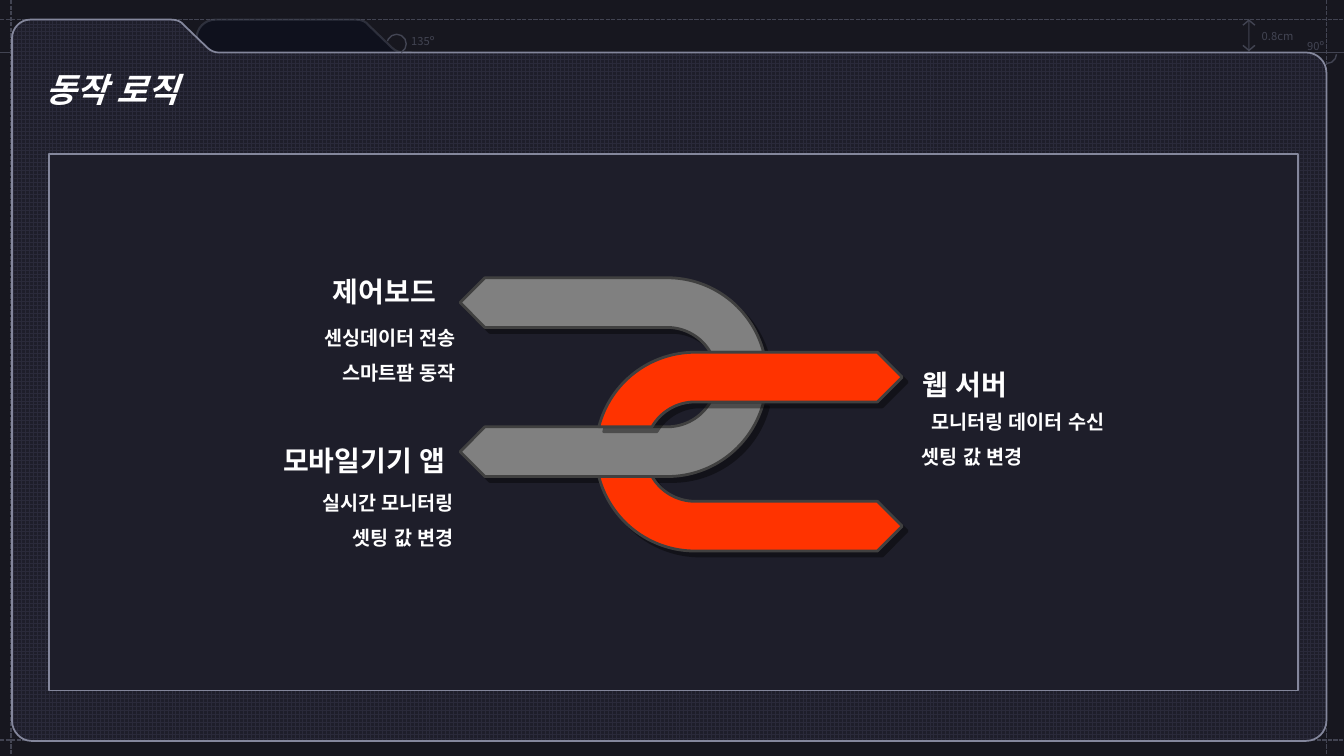
from math import asin, cos, pi, sin, tan

from lxml import etree
from pptx import Presentation
from pptx.dml.color import RGBColor
from pptx.enum import dml, shapes as kinds, text
from pptx.oxml.ns import qn
from pptx.util import Pt

FONT = "Noto Sans CJK KR"
NIGHT = RGBColor(0x17, 0x17, 0x1F)
PANEL = RGBColor(0x1E, 0x1E, 0x2A)
GRID = RGBColor(0x2A, 0x2A, 0x3A)
NAVY = RGBColor(0x0F, 0x11, 0x1D)
GUIDE = RGBColor(0x42, 0x44, 0x52)
SLATE = RGBColor(0x4D, 0x50, 0x5F)
EDGE = RGBColor(0x84, 0x87, 0x9C)
GRAY = RGBColor(0x80, 0x80, 0x80)
FLAME = RGBColor(0xFF, 0x33, 0x00)
DARK = RGBColor(0x40, 0x40, 0x40)
WHITE = RGBColor(0xFF, 0xFF, 0xFF)

LEFT, CENTER, RIGHT = text.PP_ALIGN.LEFT, text.PP_ALIGN.CENTER, text.PP_ALIGN.RIGHT
TITLE = {"size": Pt(24), "bold": True, "italic": True}
HEAD = {"size": Pt(20), "bold": True}
ITEM = {"size": Pt(14), "bold": True}
NOTE = {"size": Pt(8)}

WIDE, HIGH = 960, 540
TOP, FOLD = 14, 37.5
OUTER, INNER, HALF = 71, 35.5, 17.75
NECK, TIP = 130.3, 148


def assign(item, values):
    for name, value in values.items():
        setattr(item, name, value)


def stroke(line, color, width=1, alpha=None):
    line.color.rgb = color
    line.width = Pt(width)
    if alpha:
        tint = line._ln.find(".//" + qn("a:srgbClr"))
        etree.SubElement(tint, qn("a:alpha"), val=str(alpha * 1000))


def paint(shape, fill, color, width=1, alpha=None):
    shape.shadow.inherit = False
    if fill is None:
        shape.fill.background()
    else:
        shape.fill.solid()
        shape.fill.fore_color.rgb = fill
    stroke(shape.line, color, width, alpha)
    return shape


def rule(slide, ends, dash=None, alpha=None):
    line = slide.shapes.add_connector(kinds.MSO_CONNECTOR.STRAIGHT, *map(Pt, ends))
    stroke(line.line, GUIDE, alpha=alpha)
    if dash:
        line.line.dash_style = dash
    etree.SubElement(line.element.spPr, qn("a:effectLst"))


def pairs(part):
    return list(zip(part[::2], part[1::2]))


def curve(shape, routes):
    steps = iter(list(shape.element.iter(qn("a:lnTo"))))
    for part in (part for route in routes for part in route[1:]):
        group = [next(steps) for _ in pairs(part)]
        if len(group) == 3:
            cubic = etree.Element(qn("a:cubicBezTo"))
            group[0].addprevious(cubic)
            for step in group:
                cubic.append(step[0])
                step.getparent().remove(step)


def outline(slide, routes, close=True):
    builder = None
    for route in routes:
        points = [(Pt(x), Pt(y)) for part in route for x, y in pairs(part)]
        if builder is None:
            builder = slide.shapes.build_freeform(*points[0], scale=1.0)
        else:
            builder.move_to(*points[0])
        builder.add_line_segments(points[1:], close=False)
        if close:
            builder.add_line_segments([], close=True)
    shape = builder.convert_to_shape()
    curve(shape, routes)
    return shape


def slope(x):
    y = TOP
    return [(x, y), (x + 4.3, y, x + 7.2, y + 1.4, x + 9.4, y + 4.3),
            (x + 25.9, y + 20.2),
            (x + 28.1, y + 22.3, x + 31, FOLD, x + 33.8, FOLD)]


def folder(slide):
    tab = slope(254.2) + [(293.8, FOLD), (293.8, 56.9), (140.4, 56.9), (140.4, 27.4),
                          (140.4, 20.2, 146.2, TOP, 154.1, TOP)]
    return paint(outline(slide, [tab]), NAVY, SLATE, 1.5, 48)


def card(slide):
    west, east, base = 8.6, 947.5, 529.2
    route = slope(122.4) + [
        (933.1, FOLD), (941, FOLD, east, 44, east, 51.9),
        (east, 514.8), (east, 522.7, 941, base, 933.1, base),
        (22.3, base), (15.1, base, west, 522.7, west, 514.8),
        (west, 27.4), (west, 20.2, 14.4, TOP, 21.6, TOP)]
    shape = paint(outline(slide, [route]), PANEL, EDGE, 1.25)
    shape.fill.patterned()
    shape.fill.pattern = dml.MSO_PATTERN.LARGE_GRID
    shape.fill.fore_color.rgb = GRID
    shape.fill.back_color.rgb = PANEL


def arc(slide, x, y, angles):
    shape = slide.shapes.add_shape(kinds.MSO_SHAPE.ARC, Pt(x), Pt(y), Pt(13.7), Pt(13.7))
    for index, angle in enumerate(angles):
        shape.adjustments[index] = angle
    paint(shape, None, GUIDE)


def sweep(radius, first, last):
    pull = 4 / 3 * tan((last - first) / 4)
    a, b, c, d = cos(first), sin(first), cos(last), sin(last)
    bow = (a - pull * b, b + pull * a, c + pull * d, d - pull * c, c, d)
    return [(radius * a, radius * b), tuple(radius * n for n in bow)]


def hook(cx, cy, side, way):
    route = sweep(OUTER, asin(HALF / OUTER), pi / 2)
    route += [(-NECK, OUTER), (-TIP, (OUTER + INNER) / 2), (-NECK, INNER)]
    route += sweep(INNER, pi / 2, asin(HALF / INNER))
    return [tuple(n for x, y in pairs(part) for n in (cx + side * x, cy + way * y))
            for part in route]


def link(slide, cx, cy, side, color):
    shape = outline(slide, [hook(cx, cy, side, way) for way in (1, -1)])
    paint(shape, color, DARK, 2)
    effects = shape.element.spPr.find(qn("a:effectLst"))
    cast = etree.SubElement(effects, qn("a:outerShdw"), blurRad="0", dist=str(Pt(5)),
                            dir="2700000", algn="tl", rotWithShape="0")
    tint = etree.SubElement(cast, qn("a:srgbClr"), val="000000")
    etree.SubElement(tint, qn("a:alpha"), val="40000")


def write(shape, lines, style, color=WHITE, gap=None, wrap=True):
    frame = shape.text_frame
    assign(frame, {"word_wrap": wrap, "auto_size": text.MSO_AUTO_SIZE.NONE,
                   "vertical_anchor": text.MSO_ANCHOR.TOP})
    for index, (words, align) in enumerate(lines):
        para = frame.add_paragraph() if index else frame.paragraphs[0]
        assign(para, {"alignment": align, "line_spacing": gap, "space_before": Pt(0)})
        if shape.is_placeholder:
            props = para._p.get_or_add_pPr()
            props.set("marL", "0")
            props.set("indent", "0")
            etree.SubElement(props, qn("a:buNone"))
        run = para.add_run()
        run.text = words
        assign(run.font, {"name": FONT, **style})
        run.font.color.rgb = color
        props = run._r.get_or_add_rPr()
        props.set("lang", "ko-KR")
        props.set("kern", "0")
        etree.SubElement(props, qn("a:ea"), typeface=FONT)


def label(slide, box, words, style, **more):
    shape = slide.shapes.add_textbox(*map(Pt, box))
    write(shape, [(words, more.pop("align", LEFT))], style, **more)


def place(slide, shape, box, lines, style, gap=None):
    slide.shapes.element.append(shape.element)
    assign(shape, dict(zip(("left", "top", "width", "height"), map(Pt, box))))
    write(shape, lines, style, gap=gap)


def guides(slide):
    dash = dml.MSO_LINE.SQUARE_DOT
    for y in (TOP, 528.5):
        rule(slide, (0, y, WIDE, y), dash)
    for x in (7.9, 947.5):
        rule(slide, (x, 0, x, HIGH), dash)
    folder(slide)
    rule(slide, (0, FOLD, WIDE, FOLD))
    rule(slide, (892.1, TOP, 892.1, 36.7), alpha=61)
    for tip, turn in ((14.4, 1), (36, -1)):
        wing = tip + 3.6 * turn
        route = [(887.8, wing), (892.1, tip), (896.4, wing)]
        paint(outline(slide, [route], close=False), None, GUIDE)
    label(slide, (894.2, 17.3, 45.4, 17.3), "0.8cm", NOTE, color=GUIDE)
    arc(slide, 941, 31.7, (1.33, 53.74))
    label(slide, (926.6, 24.5, 28, 17.3), "90º", NOTE, color=GUIDE, wrap=False)
    card(slide)
    arc(slide, 276.5, 24.5, (117.94, 36.67))
    label(slide, (286.6, 20.9, 31.7, 17.3), "135º", NOTE, color=GUIDE, wrap=False)


def main():
    deck = Presentation()
    deck.slide_width, deck.slide_height = Pt(WIDE), Pt(HIGH)
    slide = deck.slides.add_slide(deck.slide_layouts[4])
    slide.background.fill.solid()
    slide.background.fill.fore_color.rgb = NIGHT
    title, *bodies = list(slide.placeholders)

    guides(slide)
    place(slide, title, (25.2, 45.7, 450, 36), [("동작 로직", LEFT)], TITLE)
    frame = slide.shapes.add_shape(kinds.MSO_SHAPE.RECTANGLE,
                                   *map(Pt, (35.3, 110.2, 892, 383)))
    paint(frame, PANEL, EDGE, 1.25)

    link(slide, 476.7, 269.4, 1, GRAY)
    link(slide, 496.5, 322.6, -1, FLAME)

    groups = [
        ("제어보드", (214.2, 180.7, 121, 38.9), (142.2, 220.6, 190.8, 54.7),
         [("센싱데이터 전송", RIGHT), ("스마트팜 동작", RIGHT)]),
        ("웹 서버", (628.6, 247, 121, 38.9), (651.2, 280.8, 151.9, 54.7),
         [("모니터링 데이터 수신", CENTER), ("셋팅 값 변경", LEFT)]),
        ("모바일기기 앱", (185.4, 301.4, 149.8, 38.9), (140.8, 338.4, 190.8, 54.7),
         [("실시간 모니터링", RIGHT), ("셋팅 값 변경", RIGHT)]),
    ]
    for body, (name, head, box, lines) in zip(bodies, groups):
        label(slide, head, name, HEAD, align=CENTER, gap=1.5)
        place(slide, body, box, lines, ITEM, gap=1.5)
    for spare in bodies[len(groups):]:
        slide.shapes.element.remove(spare.element)

    deck.save("out.pptx")


if __name__ == "__main__":
    main()
